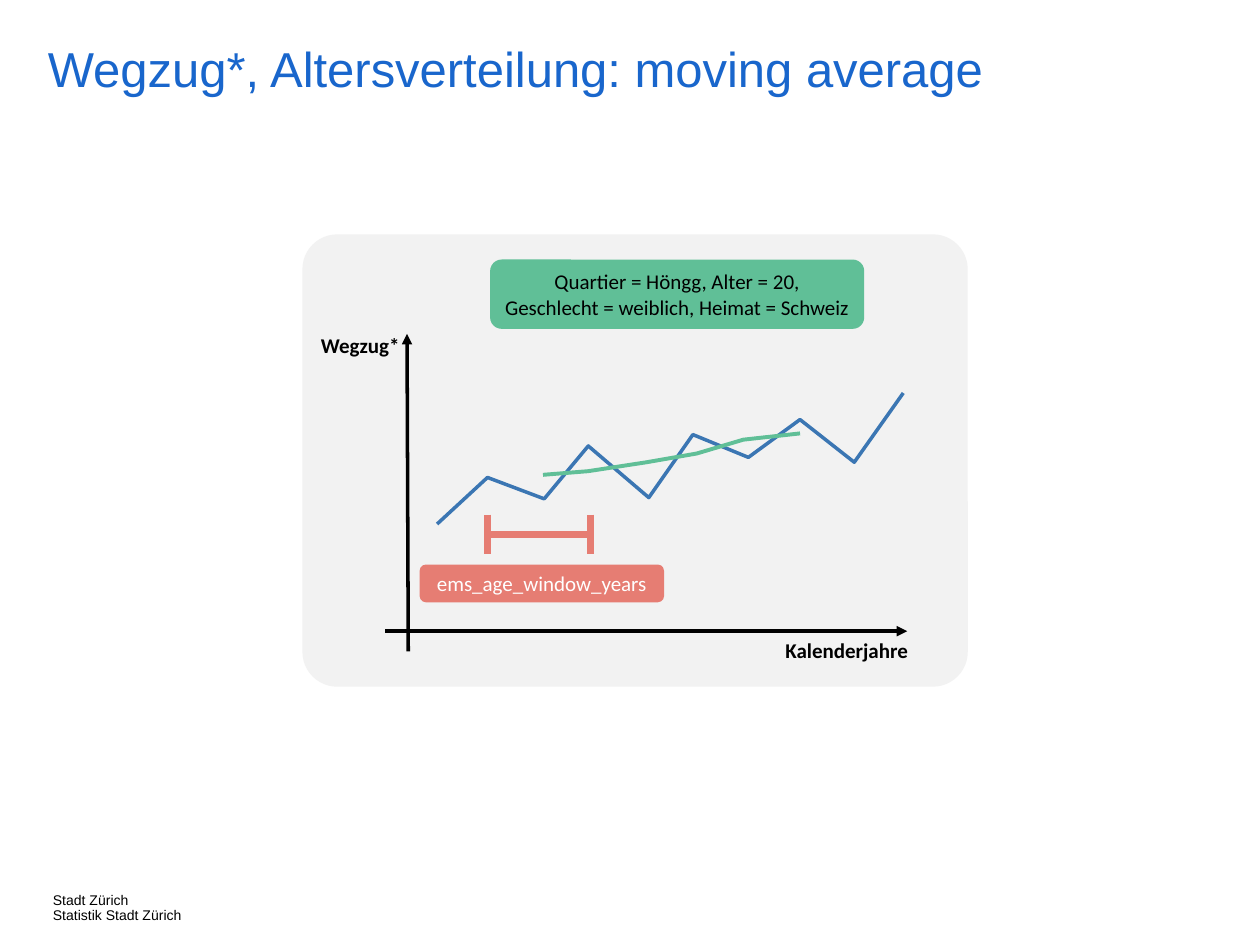
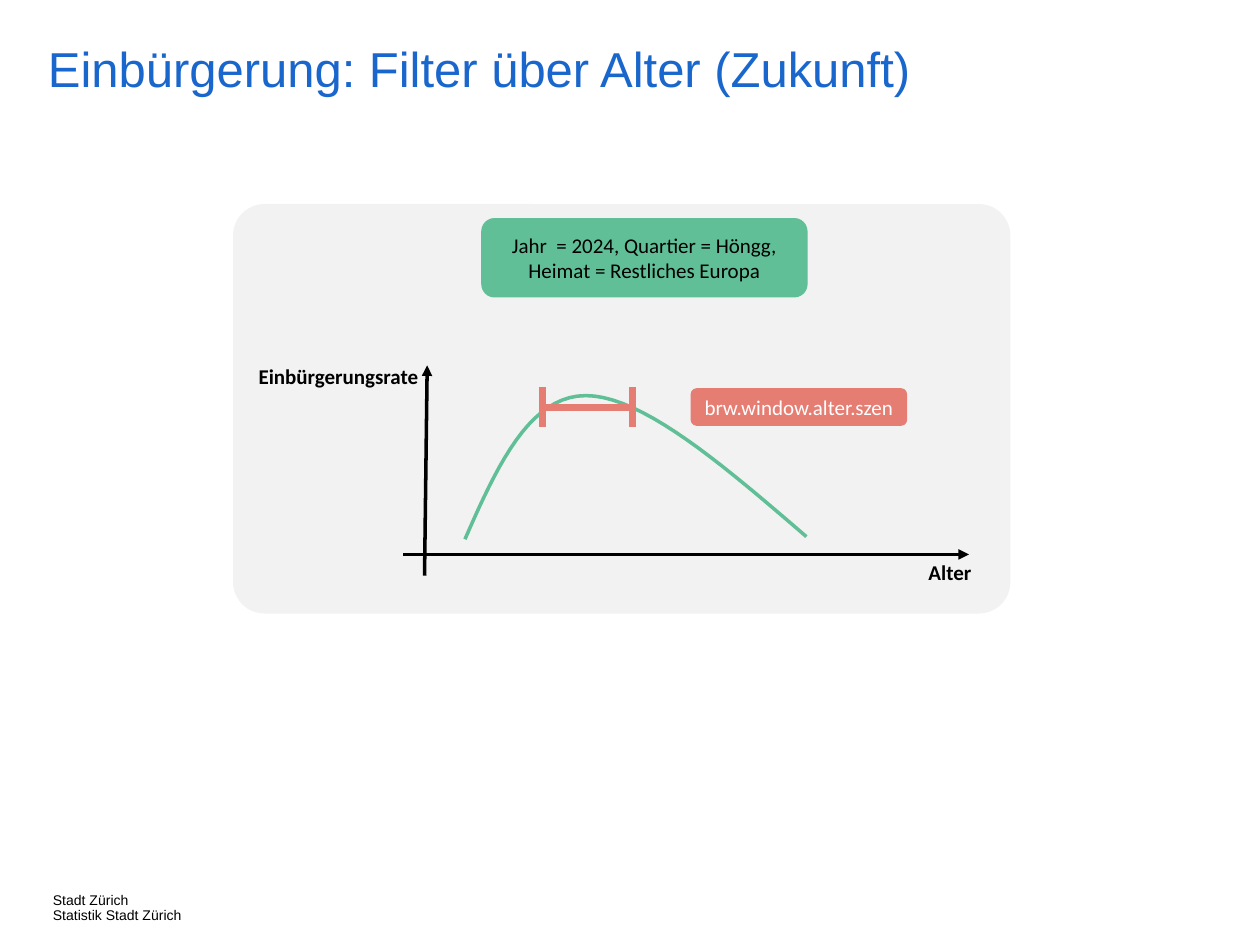
from lxml.etree import SubElement
from pptx import Presentation
from pptx.dml.color import RGBColor
from pptx.enum.shapes import MSO_CONNECTOR, MSO_SHAPE
from pptx.enum.text import MSO_ANCHOR, PP_ALIGN
from pptx.oxml.ns import qn
from pptx.util import Pt

TITLE, BLACK, WHITE, PANEL = "1966CC", "000000", "FFFFFF", "F2F2F2"
BLUE, GREEN, RED = "3B76B3", "60BF97", "E67D73"
LEFT, MID, RIGHT = PP_ALIGN.LEFT, PP_ALIGN.CENTER, PP_ALIGN.RIGHT
hue = RGBColor.from_string


def write(shape, text, size, font, color, align=LEFT, bold=False, inset=0, gap=1.0):
    frame = shape.text_frame
    frame.text = text
    frame.word_wrap = True
    frame.margin_left = frame.margin_right = Pt(inset)
    frame.margin_top = frame.margin_bottom = Pt(inset / 2)
    for para in frame.paragraphs:
        para.alignment = align
        para.line_spacing = gap
        para.font.size = Pt(size)
        para.font.name = font
        para.font.bold = bold
        para.font.color.rgb = hue(color)


def trace(shapes, points, color, width, arrow=False):
    """Draw a connector through two points, or an open outline through more."""
    dots = [(Pt(x), Pt(y)) for x, y in points]
    if len(dots) == 2:
        line = shapes.add_connector(MSO_CONNECTOR.STRAIGHT, *dots[0], *dots[1])
    else:
        form = shapes.build_freeform(*dots[0])
        form.add_line_segments(dots[1:], close=False)
        line = form.convert_to_shape()
        line.fill.background()
    line.line.color.rgb = hue(color)
    line.line.width = Pt(width)
    props = line._element.spPr
    if arrow:
        SubElement(props.find(qn("a:ln")), qn("a:tailEnd"), type="triangle")
    SubElement(props, qn("a:effectLst"))


moves = [(249.8, 299.5), (278.6, 272.9), (311, 285.1), (336.2, 254.9),
         (370.8, 284.4), (396, 248.4), (427.7, 261.4), (457.2, 239.8),
         (488.2, 264.2), (516.2, 224.6)]
means = [(310.3, 271.4), (336.2, 269.3), (369.4, 264.2), (398.2, 259.2),
         (424.8, 251.3), (457.2, 247.7)]

# Rate by age: two Bezier arcs that meet at the peak
arcs = [[(265.7, 308.2), (283.7, 267.1), (302.4, 226.1), (334.8, 226.1)],
        [(334.8, 226.1), (367.2, 226.1), (414, 266.4), (460.8, 306.7)]]
steps = 20
rate = [arcs[0][0]]
for arc in arcs:
    for step in range(1, steps + 1):
        t = step / steps
        parts = ((1 - t) ** 3, 3 * t * (1 - t) ** 2, 3 * t * t * (1 - t), t ** 3)
        rate.append(tuple(sum(p * dot[i] for p, dot in zip(parts, arc))
                          for i in (0, 1)))

# Boxes are left, top, width, height; span is left, right, height of the window
views = [
    dict(title="Wegzug*, Altersverteilung: moving average",
         panel=(172.8, 133.9, 380.2, 258.5),
         across=[(220.3, 360.7), (518.4, 360.7)],
         upward=[(233.3, 372.2), (232.6, 190.8)],
         names=[("Kalenderjahre", MID, (439.2, 360.7, 89.3, 21.6)),
                ("Wegzug*", RIGHT, (165.4, 186.5, 70, 21.6))],
         curves=[(moves, BLUE, 2), (means, GREEN, 2.25)],
         span=(278.6, 337.7, 305.3),
         tags=[("ems_age_window_years", RED, WHITE, (239.8, 322.6, 139.7, 21.6)),
               ("Quartier = Höngg, Alter = 20,\n"
                "Geschlecht = weiblich, Heimat = Schweiz",
                GREEN, BLACK, (280.1, 148.3, 213.8, 39.6))]),
    dict(title="Einbürgerung: Filter über Alter (Zukunft)",
         panel=(133.2, 116.6, 444.2, 234),
         across=[(230.4, 316.8), (553.7, 316.8)],
         upward=[(242.6, 329), (244.1, 208.8)],
         names=[("Alter", MID, (498.2, 316.1, 89.3, 21.6)),
                ("Einbürgerungsrate", RIGHT, (133.2, 204.5, 113, 21.6))],
         curves=[(rate, GREEN, 2)],
         span=(310.3, 361.4, 232.6),
         tags=[("brw.window.alter.szen", RED, WHITE, (394.6, 221.8, 123.8, 21.6)),
               ("Jahr  = 2024, Quartier = Höngg,\nHeimat = Restliches Europa",
                GREEN, BLACK, (275, 124.6, 186.5, 45.4))]),
]

deck = Presentation()
deck.slide_width, deck.slide_height = Pt(720), Pt(540)

for view in views:
    shapes = deck.slides.add_slide(deck.slide_layouts[6]).shapes

    foot = shapes.add_textbox(Pt(30.2), Pt(510.5), Pt(94.3), Pt(14.4))
    write(foot, "Stadt Zürich\nStatistik Stadt Zürich", 8, "Arial", BLACK, gap=0.9)
    head = shapes.add_textbox(Pt(27.4), Pt(25.9), Pt(604.8), Pt(46.1))
    write(head, view["title"], 28, "Arial", TITLE, gap=0.9)

    panel = shapes.add_shape(MSO_SHAPE.ROUNDED_RECTANGLE, *map(Pt, view["panel"]))
    panel.adjustments[0] = 0.077
    panel.shadow.inherit = False
    panel.fill.solid()
    panel.fill.fore_color.rgb = hue(PANEL)
    panel.line.fill.background()

    for axis in ("across", "upward"):
        trace(shapes, view[axis], BLACK, 2, arrow=True)
    for name, align, box in view["names"]:
        label = shapes.add_textbox(*map(Pt, box))
        write(label, name, 12, "Calibri", BLACK, align, bold=True, inset=7.2)
    for points, color, width in view["curves"]:
        trace(shapes, points, color, width)

    start, end, level = view["span"]
    trace(shapes, [(start, level), (end, level)], RED, 4)
    for x in (start, end):
        trace(shapes, [(x, level - 11.2), (x, level + 11.2)], RED, 4)

    for text, fill, color, box in view["tags"]:
        tag = shapes.add_shape(MSO_SHAPE.ROUNDED_RECTANGLE, *map(Pt, box))
        tag.shadow.inherit = False
        tag.fill.solid()
        tag.fill.fore_color.rgb = hue(fill)
        tag.line.fill.background()
        tag.text_frame.vertical_anchor = MSO_ANCHOR.MIDDLE
        write(tag, text, 12, "Calibri", color, MID)

deck.save("out.pptx")
